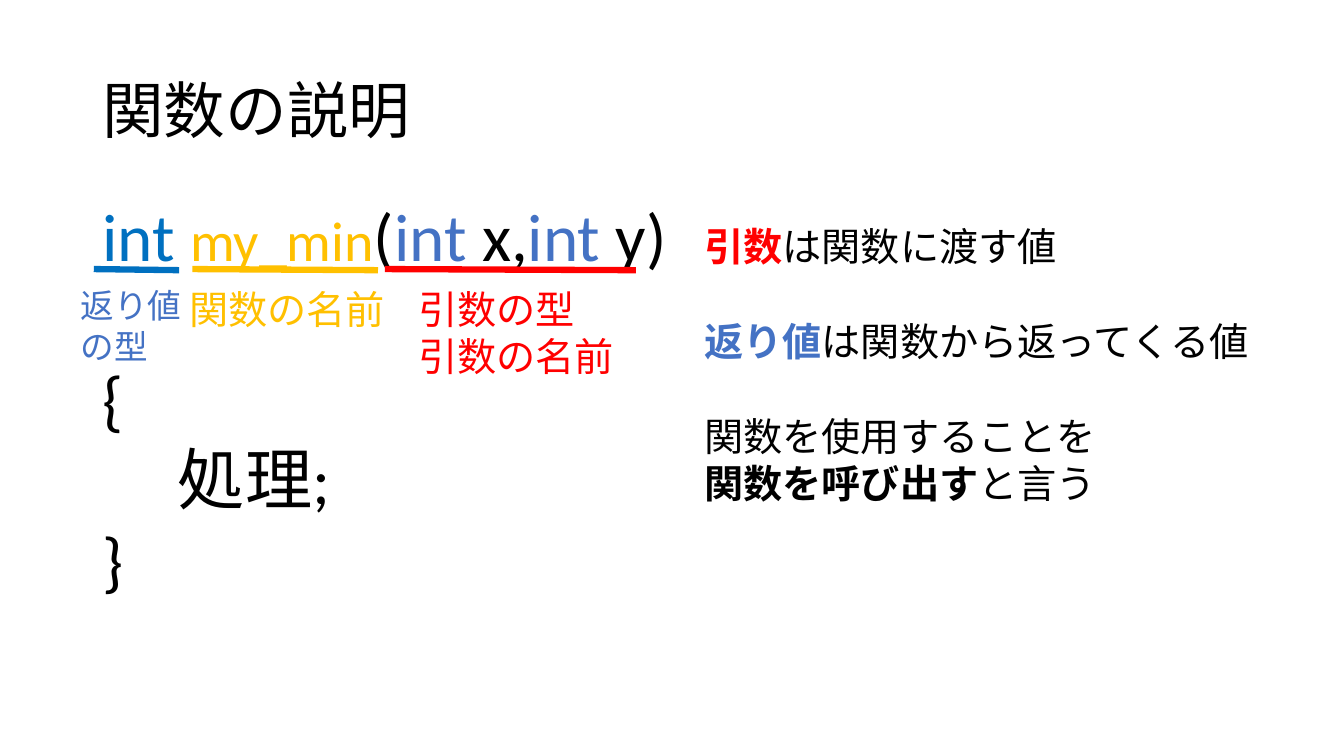
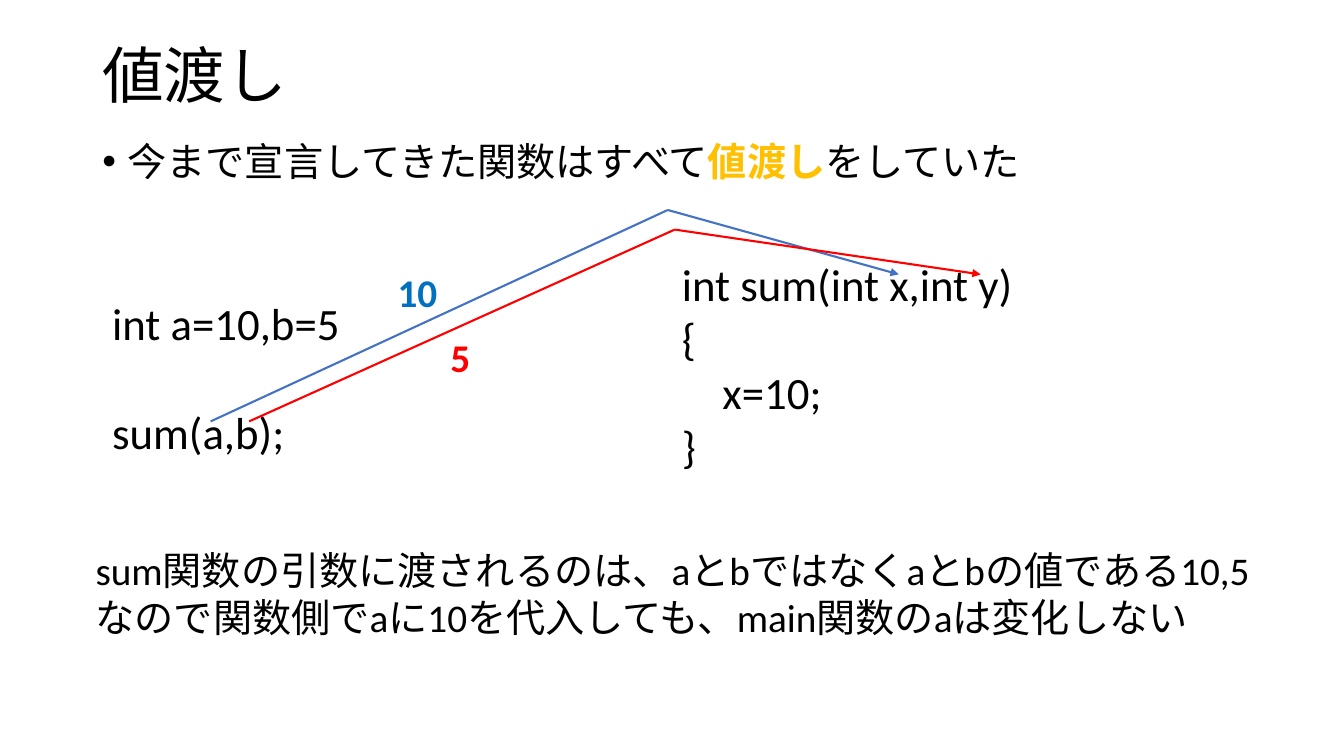
"""Build two slides that explain functions and passing by value."""
import collections
import itertools

import pptx
import pptx.dml.color
import pptx.enum.shapes
import pptx.enum.text
import pptx.oxml
import pptx.oxml.ns
import pptx.util

Pt = pptx.util.Pt
FONT = "Calibri"
LINE_HEIGHT = 1.22
COLOURS = {
    "ink": "000000",
    "type": "4472C4",
    "value": "0070C0",
    "name": "FFC000",
    "argument": "FF0000",
}

Run = collections.namedtuple("Run", "text colour bold size", defaults=("ink", False, None))
Line = collections.namedtuple("Line", "runs gap indent", defaults=(0, 0))


def colour_of(name):
    return pptx.dml.color.RGBColor.from_string(COLOURS[name])


def plain(text, colour="ink", **layout):
    return Line([Run(text, colour)], **layout)


def add_text(slide, at, size, lines, grow=True):
    frame = slide.shapes.add_textbox(*map(Pt, at)).text_frame
    frame.word_wrap = True
    if grow:
        frame.auto_size = pptx.enum.text.MSO_AUTO_SIZE.SHAPE_TO_FIT_TEXT
    for index, line in enumerate(lines):
        paragraph = frame.add_paragraph() if index else frame.paragraphs[0]
        if line.gap:
            paragraph.space_before = Pt(line.gap * size * LINE_HEIGHT)
        if line.indent:
            paragraph._p.get_or_add_pPr().set("marL", str(Pt(line.indent)))
        for part in line.runs:
            run = paragraph.add_run()
            run.text = part.text
            run.font.name = FONT
            run.font.size = Pt(part.size or size)
            run.font.bold = part.bold
            run.font.color.rgb = colour_of(part.colour)
    return frame


def add_title(slide, text, top, width):
    frame = add_text(slide, (66, top, width, 104.4), 44, [plain(text)], grow=False)
    frame.vertical_anchor = pptx.enum.text.MSO_ANCHOR.MIDDLE
    frame.paragraphs[0].line_spacing = 0.9


def add_bullet(slide, at, runs):
    paragraph = add_text(slide, at, 28, [Line(runs)], grow=False).paragraphs[0]
    paragraph.line_spacing = 0.9
    properties = paragraph._p.get_or_add_pPr()
    properties.set("marL", str(Pt(18)))
    properties.set("indent", str(Pt(-18)))
    namespace = pptx.oxml.ns.nsdecls("a")
    for xml in (f'<a:buFont {namespace} typeface="Arial"/>',
                f'<a:buChar {namespace} char="•"/>'):
        properties.append(pptx.oxml.parse_xml(xml))


def add_line(slide, start, end, colour, width, arrow=False):
    straight = pptx.enum.shapes.MSO_CONNECTOR.STRAIGHT
    line = slide.shapes.add_connector(straight, *map(Pt, start + end))
    line.line.color.rgb = colour_of(colour)
    line.line.width = Pt(width)
    namespace = pptx.oxml.ns.nsdecls("a")
    if arrow:
        line.line._get_or_add_ln().append(
            pptx.oxml.parse_xml(f'<a:tailEnd {namespace} type="triangle"/>'))
    line._element.spPr.append(pptx.oxml.parse_xml(f"<a:effectLst {namespace}/>"))


def add_route(slide, points, colour):
    for start, end in itertools.pairwise(points):
        add_line(slide, start, end, colour, 1.5, arrow=end == points[-1])


def build_function_slide(slide):
    add_title(slide, "関数の説明", 29, 828)
    signature = [
        Run("int ", "value"), Run("my_min", "name", size=40), Run("("),
        Run("int ", "type"), Run("x,"), Run("int", "type"), Run(" y)"),
    ]
    add_text(slide, (66, 135.4, 540, 298), 48, [
        Line(signature), plain("{", gap=1), plain("処理;", indent=54), plain("}"),
    ])
    for colour, left, right in (("name", 137.5, 270), ("argument", 275, 454.3),
                                ("value", 67, 128)):
        add_line(slide, (left, 192.2), (right, 193), colour, 4.5)
    for left, width, height, size, colour, labels in (
            (128, 163.5, 41, 28, "name", ["関数の名前"]),
            (291.6, 195, 75, 28, "argument", ["引数の型", "引数の名前"]),
            (50.4, 87, 99, 24, "type", ["返り値", "の型"])):
        add_text(slide, (left, 200.2, width, height), size,
                 [plain(label, colour) for label in labels])
    add_text(slide, (496, 155.5, 444, 211), 28, [
        Line([Run("引数", "argument", True), Run("は関数に渡す値")]),
        Line([Run("返り値", "type", True), Run("は関数から返ってくる値")], gap=1),
        plain("関数を使用することを", gap=1),
        Line([Run("関数を呼び出す", bold=True), Run("と言う")]),
    ])


def build_value_slide(slide):
    add_title(slide, "値渡し", 3.6, 194)
    add_bullet(slide, (66, 98, 828, 343), [
        Run("今まで宣言してきた関数はすべて"), Run("値渡し", "name", True),
        Run("をしていた"),
    ])
    add_text(slide, (73, 208, 215, 124), 32,
             [plain("int a=10,b=5"), plain("sum(a,b);", gap=1)])
    add_text(slide, (480, 180, 313, 163), 32, [
        plain("int sum(int x,int y)"), plain("{"), plain("x=10;", indent=29), plain("}"),
    ])
    add_route(slide, [(150.5, 301), (477, 150), (642, 196)], "type")
    add_route(slide, [(178, 301), (482, 164), (700.5, 196)], "argument")
    for left, top, width, number, colour in ((277, 188, 56, "10", "value"),
                                             (314.6, 234.7, 31, "5", "argument")):
        add_text(slide, (left, top, width, 41), 28, [Line([Run(number, colour, True)])])
    add_text(slide, (61.2, 386.6, 853.2, 75), 28, [
        plain("sum関数の引数に渡されるのは、aとbではなくaとbの値である10,5"),
        plain("なので関数側でaに10を代入しても、main関数のaは変化しない"),
    ])


def main():
    deck = pptx.Presentation()
    deck.slide_width, deck.slide_height = Pt(960), Pt(540)
    for build in (build_function_slide, build_value_slide):
        build(deck.slides.add_slide(deck.slide_layouts[6]))
    deck.save("out.pptx")


if __name__ == "__main__":
    main()
